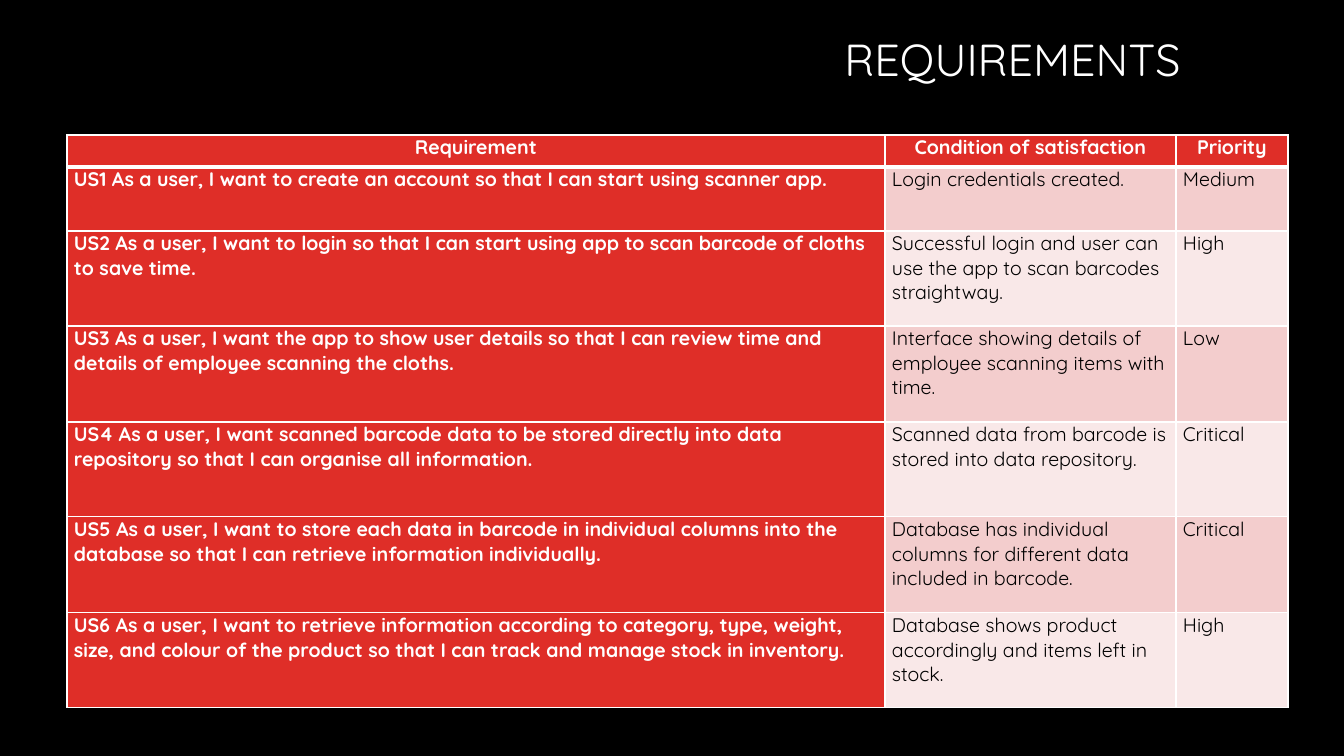
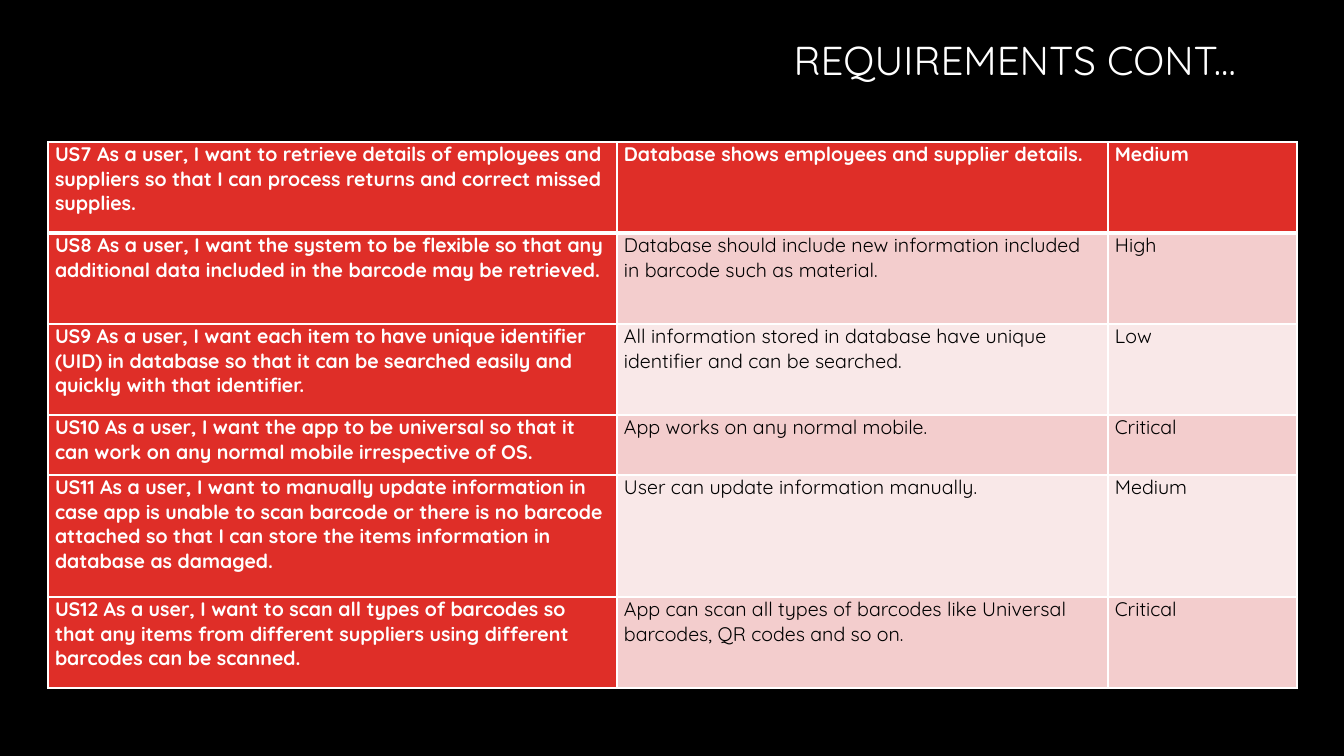
from dataclasses import dataclass

from lxml.etree import SubElement
from pptx import Presentation
from pptx.dml.color import RGBColor as RGB
from pptx.enum.text import MSO_ANCHOR as Anchor, MSO_AUTO_SIZE as AutoSize, PP_ALIGN as Align
from pptx.oxml.ns import qn
from pptx.util import Emu, Pt

PX_PER_INCH = 100.8


@dataclass(frozen=True)
class Theme:
    """Colours, font and type sizes shared by the slides."""
    font: str = "Quicksand"
    back: str = "000000"
    light: str = "FFFFFF"
    dark: str = "000000"
    accent: str = "DF2E28"
    bands: tuple = ("F3CDCD", "F9E8E8")
    cell_size: float = 14
    rule: float = 1
    head_rule: float = 3


THEME = Theme()
CELL_MARGIN = 7


def px(n):
    """Turn pixels into EMU."""
    return Emu(round(n * 914400 / PX_PER_INCH))


def style_runs(p, size, colour, bold=False):
    """Format every run of a paragraph."""
    for r in p.runs:
        r.font.name = THEME.font
        r.font.size = Pt(size)
        r.font.bold = bold
        r.font.color.rgb = RGB.from_string(colour)


def add_title(s, box, text, size):
    """Place the title placeholder in box, right-aligned."""
    sp = s.shapes.title
    sp.left, sp.top, sp.width, sp.height = map(px, box)
    tf = sp.text_frame
    tf.text = text
    tf.word_wrap = True
    tf.auto_size = AutoSize.NONE
    tf.vertical_anchor = Anchor.MIDDLE
    p = tf.paragraphs[0]
    p.alignment = Align.RIGHT
    p.line_spacing = 0.9
    style_runs(p, size, THEME.light)


def set_borders(cell, top, bottom):
    """Draw the four cell borders; top and bottom are widths in points."""
    tcPr = cell._tc.get_or_add_tcPr()
    widths = {"L": THEME.rule, "R": THEME.rule, "T": top, "B": bottom}
    for i, (side, width) in enumerate(widths.items()):
        ln = SubElement(tcPr, qn(f"a:ln{side}"), w=str(Pt(width)))
        fill = SubElement(ln, qn("a:solidFill"))
        SubElement(fill, qn("a:srgbClr"), val=THEME.light)
        tcPr.insert(i, ln)


def style_cell(cell, row, col, centre_head):
    """Colour a cell by its place: accent for first row and column, else bands."""
    strong = row == 0 or col == 0
    colour = THEME.accent if strong else THEME.bands[(row - 1) % 2]
    cell.fill.solid()
    cell.fill.fore_color.rgb = RGB.from_string(colour)
    cell.margin_left = cell.margin_right = px(CELL_MARGIN)
    cell.margin_top = cell.margin_bottom = 0
    p = cell.text_frame.paragraphs[0]
    p.alignment = Align.CENTER if row == 0 and centre_head else Align.LEFT
    style_runs(p, THEME.cell_size, THEME.light if strong else THEME.dark, strong)
    set_borders(cell,
                top=THEME.head_rule if row == 1 else THEME.rule,
                bottom=THEME.head_rule if row == 0 else THEME.rule)


def add_requirements(s, origin, cols, heights, rows, centre_head):
    """Build the requirements table from its top left corner."""
    box = (*origin, sum(cols), sum(heights))
    table = s.shapes.add_table(len(rows), len(cols), *map(px, box)).table
    for column, width in zip(table.columns, cols):
        column.width = px(width)
    for i, (height, texts) in enumerate(zip(heights, rows)):
        table.rows[i].height = px(height)
        for j, text in enumerate(texts):
            cell = table.cell(i, j)
            cell.text_frame.text = text
            style_cell(cell, i, j, centre_head)


def add_requirements_slide(prs, title, title_width, title_size, **table):
    """Add a slide with a title over a requirements table."""
    s = prs.slides.add_slide(prs.slide_layouts[5])
    add_title(s, (765, 16, title_width, 93), title, title_size)
    add_requirements(s, **table)


FIRST_ROWS = [
    ("Requirement", "Condition of satisfaction", "Priority"),
    ("US1 As a user, I want to create an account so that I can start using scanner app.",
     "Login credentials created.", "Medium"),
    ("US2 As a user, I want to login so that I can start using app to scan barcode of cloths "
     "to save time.",
     "Successful login and user can use the app to scan barcodes straightway.", "High"),
    ("US3 As a user, I want the app to show user details so that I can review time and "
     "details of employee scanning the cloths.",
     "Interface showing details of employee scanning items with time.", "Low"),
    ("US4 As a user, I want scanned barcode data to be stored directly into data "
     "repository so that I can organise all information.",
     "Scanned data from barcode is stored into data repository.", "Critical"),
    ("US5 As a user, I want to store each data in barcode in individual columns into the "
     "database so that I can retrieve information individually.",
     "Database has individual columns for different data included in barcode.", "Critical"),
    ("US6 As a user, I want to retrieve information according to category, type, weight, "
     "size, and colour of the product so that I can track and manage stock in inventory.",
     "Database shows product accordingly and items left in stock.", "High"),
]

MORE_ROWS = [
    ("US7 As a user, I want to retrieve details of employees and suppliers so that I can "
     "process returns and correct missed supplies.",
     "Database shows employees and supplier details.", "Medium"),
    ("US8 As a user, I want the system to be flexible so that any additional data included "
     "in the barcode may be retrieved.",
     "Database should include new information included in barcode such as material.", "High"),
    ("US9 As a user, I want each item to have unique identifier (UID) in database so that "
     "it can be searched easily and quickly with that identifier.",
     "All information stored in database have unique identifier and can be searched.", "Low"),
    ("US10 As a user, I want the app to be universal so that it can work on any normal "
     "mobile irrespective of OS.",
     "App works on any normal mobile.", "Critical"),
    ("US11 As a user, I want to manually update information in case app is unable to scan "
     "barcode or there is no barcode attached so that I can store the items information in "
     "database as damaged.",
     "User can update information manually.", "Medium"),
    ("US12 As a user, I want to scan all types of barcodes so that any items from different "
     "suppliers using different barcodes can be scanned.",
     "App can scan all types of barcodes like Universal barcodes, QR codes and so on.",
     "Critical"),
]


def main():
    """Build and save the presentation."""
    prs = Presentation()
    prs.slide_width, prs.slide_height = px(1344), px(756)
    back = prs.slide_master.background.fill
    back.solid()
    back.fore_color.rgb = RGB.from_string(THEME.back)
    add_requirements_slide(
        prs, "REQUIREMENTS", 426, 32,
        origin=(67, 135), cols=(818, 291, 112),
        heights=(32, 64, 95, 96, 95, 96, 95), rows=FIRST_ROWS, centre_head=True)
    add_requirements_slide(
        prs, "REQUIREMENTS CONT...", 481, 28.8,
        origin=(48, 142), cols=(569, 491, 189),
        heights=(91, 91, 91, 60, 122, 91), rows=MORE_ROWS, centre_head=False)
    prs.save("out.pptx")


main()
